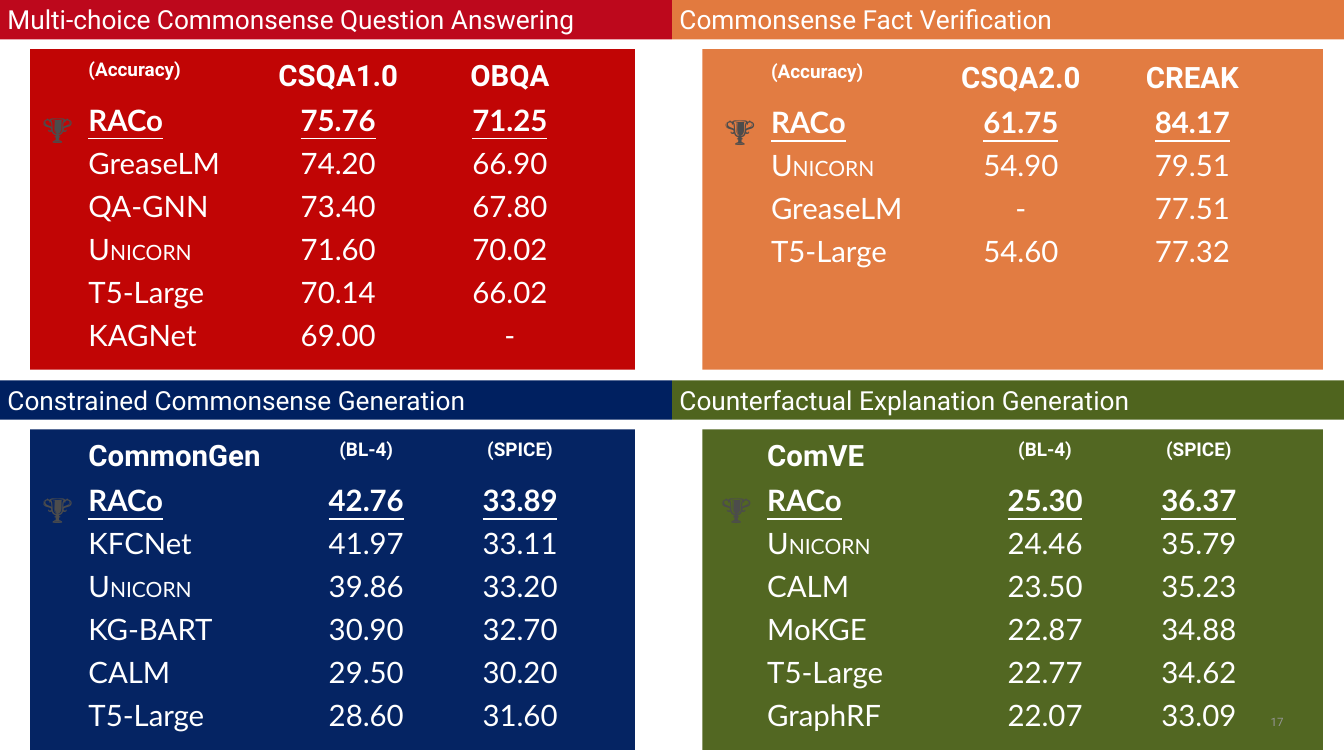
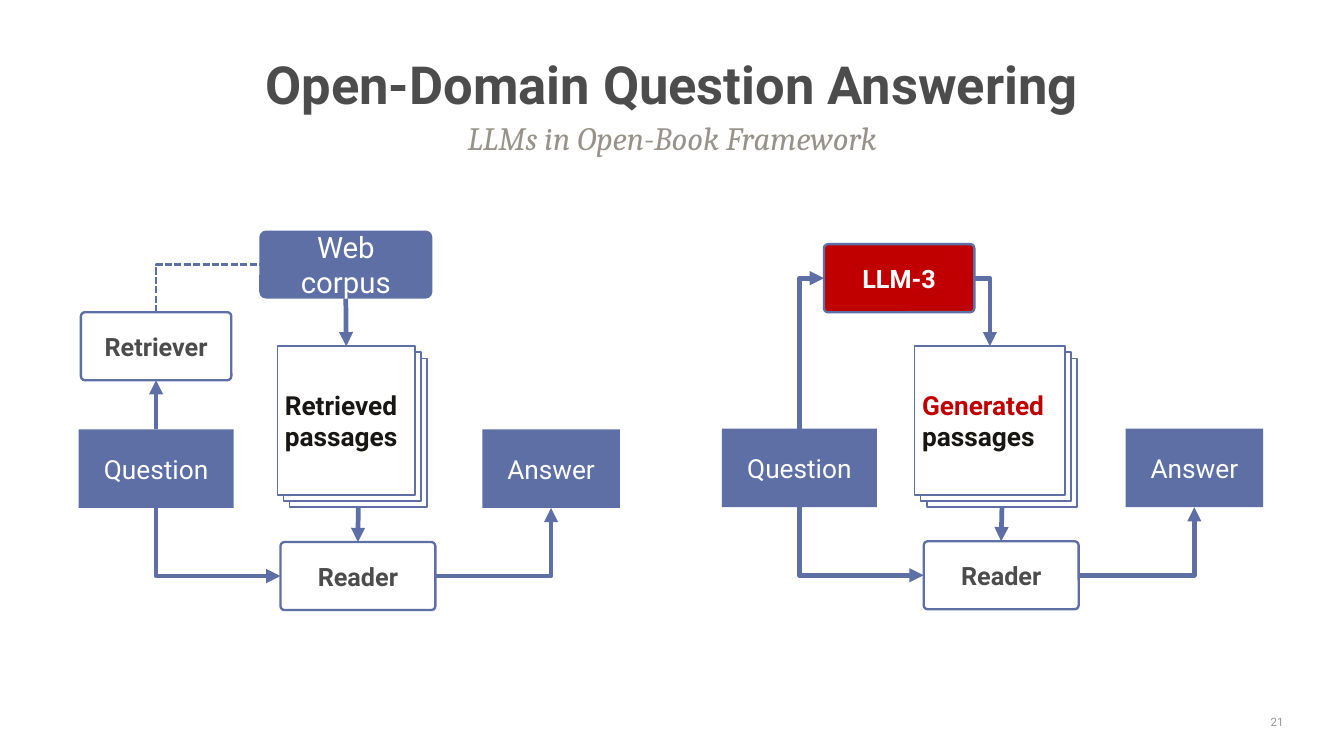
from dataclasses import dataclass, replace
from typing import Optional, Union

from lxml.etree import SubElement
from pptx import Presentation
from pptx.dml.color import RGBColor
from pptx.enum.dml import MSO_LINE
from pptx.enum.shapes import MSO_CONNECTOR as CONNECTOR, MSO_SHAPE as SHAPE
from pptx.enum.text import MSO_ANCHOR as ANCHOR, PP_ALIGN as ALIGN
from pptx.oxml.ns import qn
from pptx.util import Inches, Pt


@dataclass(frozen=True)
class Theme:
    white: str = "FFFFFF"
    ink: str = "171613"
    gray: str = "4C4C4C"
    taupe: str = "98938A"
    page_gray: str = "969696"
    blue: str = "5D6FA5"
    red: str = "C00000"
    crimson: str = "BD081C"
    orange: str = "E27A3F"
    navy: str = "002060"
    olive: str = "4F641E"
    sans: str = "Roboto"
    table_font: str = "Lato"
    serif: str = "Cambria"
    title: float = 50
    trophy: float = 32
    subtitle: float = 31
    table: float = 28
    box: float = 25
    label: float = 24
    small_caps: float = 20
    metric: float = 18
    page: float = 11


T = Theme()


@dataclass(frozen=True)
class Style:
    size: float
    color: str
    font: str = T.sans
    bold: bool = False
    italic: bool = False
    underline: bool = False


@dataclass(frozen=True)
class Run:
    text: str
    size: Optional[float] = None
    color: Optional[str] = None


Text = Union[str, tuple[Run, ...]]


@dataclass(frozen=True)
class Panel:
    title: str
    band: str
    fill: str
    left: float
    top: float
    panel_left: float
    panel_width: float
    table_left: float
    table_top: float
    columns: tuple[float, ...]
    rows: tuple[tuple[Text, ...], ...]


TITLE = Style(T.title, T.gray, bold=True)
SUBTITLE = Style(T.subtitle, T.taupe, T.serif, italic=True)
BOX = Style(T.box, T.white)
SOURCE = Style(T.table, T.white)
LABEL = Style(T.label, T.gray, bold=True)
PASSAGES = Style(T.box, T.ink, bold=True)
PAGE = Style(T.page, T.page_gray)
TROPHY = Style(T.trophy, T.gray, T.table_font, bold=True)
HEADER = Style(T.table, T.white, bold=True)
METRIC = replace(HEADER, size=T.metric)
ENTRY = Style(T.table, T.white, T.table_font)
WINNER = replace(ENTRY, bold=True, underline=True)

NO_GRID = "{2D5ABB26-0587-4C30-8999-92F81FD0307C}"
ROW_HEIGHT = 0.57
EVEN = (2.27, 2.27, 2.27)
WIDE_FIRST = (2.75, 2.05, 2.02)
UNICORN = (Run("U"), Run("NICORN", T.small_caps))
TOP, LEFT, BOTTOM, RIGHT = range(4)

PANELS = (
    Panel("Multi-choice Commonsense Question Answering", T.crimson, T.red,
          0, 0, 0.4, 8, 1.07, 0.73, EVEN, (
              ("(Accuracy)", "CSQA1.0", "OBQA"),
              ("RACo", "75.76", "71.25"),
              ("GreaseLM", "74.20", "66.90"),
              ("QA-GNN", "73.40", "67.80"),
              (UNICORN, "71.60", "70.02"),
              ("T5-Large", "70.14", "66.02"),
              ("KAGNet", "69.00", "-"))),
    Panel("Commonsense Fact Verification", T.orange, T.orange,
          8.89, 0, 9.29, 8.21, 10.1, 0.76, EVEN, (
              ("(Accuracy)", "CSQA2.0", "CREAK"),
              ("RACo", "61.75", "84.17"),
              (UNICORN, "54.90", "79.51"),
              ("GreaseLM", "-", "77.51"),
              ("T5-Large", "54.60", "77.32"))),
    Panel("Constrained Commonsense Generation", T.navy, T.navy,
          0, 5.03, 0.4, 8, 1.07, 5.76, WIDE_FIRST, (
              ("CommonGen", "(BL-4)", "(SPICE)"),
              ("RACo", "42.76", "33.89"),
              ("KFCNet", "41.97", "33.11"),
              (UNICORN, "39.86", "33.20"),
              ("KG-BART", "30.90", "32.70"),
              ("CALM", "29.50", "30.20"),
              ("T5-Large", "28.60", "31.60"))),
    Panel("Counterfactual Explanation Generation", T.olive, T.olive,
          8.89, 5.03, 9.29, 8.21, 10.05, 5.76, WIDE_FIRST, (
              ("ComVE", "(BL-4)", "(SPICE)"),
              ("RACo", "25.30", "36.37"),
              (UNICORN, "24.46", "35.79"),
              ("CALM", "23.50", "35.23"),
              ("MoKGE", "22.87", "34.88"),
              ("T5-Large", "22.77", "34.62"),
              ("GraphRF", "22.07", "33.09"))),
)


def rgb(color: str) -> RGBColor:
    return RGBColor.from_string(color)


def write(tf, text: Text, style: Style, align=ALIGN.LEFT, spacing: Optional[float] = None) -> None:
    p = tf.paragraphs[0]
    p.alignment = align
    if spacing:
        p.line_spacing = spacing
    f = p.font
    f.name, f.size = style.font, Pt(style.size)
    f.bold, f.italic, f.underline = style.bold, style.italic, style.underline
    f.color.rgb = rgb(style.color)
    for part in (Run(text),) if isinstance(text, str) else text:
        r = p.add_run()
        r.text = part.text
        if part.size:
            r.font.size = Pt(part.size)
        if part.color:
            r.font.color.rgb = rgb(part.color)


def add_box(slide, left: float, top: float, width: float, height: float,
            fill: Optional[str] = None, line: Optional[str] = None, weight: float = 2.25,
            corner: Optional[float] = None):
    kind = SHAPE.RECTANGLE if corner is None else SHAPE.ROUNDED_RECTANGLE
    sp = slide.shapes.add_shape(kind, Inches(left), Inches(top), Inches(width), Inches(height))
    sp.shadow.inherit = False
    if corner is not None:
        sp.adjustments[0] = corner
    if fill:
        sp.fill.solid()
        sp.fill.fore_color.rgb = rgb(fill)
    else:
        sp.fill.background()
    if line:
        sp.line.color.rgb = rgb(line)
        sp.line.width = Pt(weight)
    else:
        sp.line.fill.background()
    return sp


def add_text(slide, left: float, top: float, width: float, height: float, text: str,
             style: Style, align=ALIGN.CENTER, anchor=ANCHOR.TOP,
             inset: tuple[float, float] = (0.1, 0.05), spacing: Optional[float] = None) -> None:
    tf = slide.shapes.add_textbox(Inches(left), Inches(top), Inches(width), Inches(height)).text_frame
    tf.word_wrap = True
    tf.vertical_anchor = anchor
    tf.margin_left = tf.margin_right = Inches(inset[0])
    tf.margin_top = tf.margin_bottom = Inches(inset[1])
    write(tf, text, style, align, spacing)


def add_page_number(slide, number: int) -> None:
    add_text(slide, 16.53, 9.42, 0.61, 0.26, str(number), PAGE, ALIGN.RIGHT, ANCHOR.MIDDLE, (0.16, 0.08))


def add_scores(slide, panel: Panel) -> None:
    shape = slide.shapes.add_table(
        len(panel.rows), len(panel.columns), Inches(panel.table_left), Inches(panel.table_top),
        Inches(sum(panel.columns)), Inches(ROW_HEIGHT * len(panel.rows)))
    table = shape.table
    table.first_row = table.horz_banding = False
    table._tbl.tblPr.find(qn("a:tableStyleId")).text = NO_GRID
    for column, width in zip(table.columns, panel.columns):
        column.width = Inches(width)
    for i, row in enumerate(panel.rows):
        table.rows[i].height = Inches(ROW_HEIGHT)
        for j, text in enumerate(row):
            if i == 0:
                style = METRIC if text[0] == "(" else HEADER
            else:
                style = WINNER if i == 1 else ENTRY
            cell = table.cell(i, j)
            cell.fill.background()
            write(cell.text_frame, text, style, ALIGN.CENTER if j else ALIGN.LEFT)


def add_panel(slide, panel: Panel) -> None:
    body = add_box(slide, panel.panel_left, panel.top + 0.65, panel.panel_width, 4.24, panel.fill)
    color = body._element.spPr.find(qn("a:solidFill"))[0]
    SubElement(color, qn("a:alpha")).set("val", "98000")
    band = add_box(slide, panel.left, panel.top, 8.89, 0.52, panel.band)
    band.text_frame.vertical_anchor = ANCHOR.TOP
    write(band.text_frame, panel.title, BOX)
    add_text(slide, panel.table_left - 0.76, panel.table_top + 0.66, 0.9, 0.64, "🏆", TROPHY)
    add_scores(slide, panel)


def side_point(sp, side: int) -> tuple[int, int]:
    x, y = sp.left + sp.width // 2, sp.top + sp.height // 2
    return {TOP: (x, sp.top), LEFT: (sp.left, y),
            BOTTOM: (x, sp.top + sp.height), RIGHT: (sp.left + sp.width, y)}[side]


def connect(slide, start, start_side: int, end, end_side: int, dashed: bool = False) -> None:
    (x0, y0), (x1, y1) = side_point(start, start_side), side_point(end, end_side)
    straight = {start_side, end_side} == {TOP, BOTTOM}
    vertical_first = not straight and start_side in (TOP, BOTTOM)
    if vertical_first:
        cx, cy, dx, dy = (x0 + x1) // 2, (y0 + y1) // 2, x1 - x0, y1 - y0
        x0, x1 = cx - dy // 2, cx + dy // 2
        y0, y1 = cy + dx // 2, cy - dx // 2
    kind = CONNECTOR.STRAIGHT if straight else CONNECTOR.ELBOW
    c = slide.shapes.add_connector(kind, x0, y0, x1, y1)
    props = c._element.spPr
    if straight:
        c.begin_connect(start, start_side)
        c.end_connect(end, end_side)
    else:
        props.find(qn("a:prstGeom")).set("prst", "bentConnector2")
    if vertical_first:
        props.find(qn("a:xfrm")).set("rot", "5400000")
    c.line.color.rgb = rgb(T.blue)
    c.line.width = Pt(2.25 if dashed else 4.5)
    if dashed:
        c.line.dash_style = MSO_LINE.SQUARE_DOT
    else:
        SubElement(props.find(qn("a:ln")), qn("a:tailEnd")).set("type", "triangle")
    SubElement(props, qn("a:effectLst"))


def add_node(slide, left: float, top: float, width: float, height: float, text: str, style: Style,
             fill: Optional[str] = None, line: Optional[str] = None, corner: Optional[float] = None):
    sp = add_box(slide, left, top, width, height, fill, line, corner=corner)
    write(sp.text_frame, text, style, ALIGN.CENTER)
    return sp


def add_pipeline(slide, dx: float, dy: float, sheet_left: float, sheet_width: float, passages: Text):
    sheets = [add_box(slide, sheet_left + 0.08 * k, 4.58 + 0.08 * k, sheet_width, 1.97,
                      T.white, T.blue, 1.5) for k in (2, 1, 0)]
    back, front = sheets[0], sheets[-1]
    write(front.text_frame, passages, PASSAGES)
    question = add_node(slide, 1.04 + dx, 5.68 + dy, 2.05, 1.04, "Question", BOX, T.blue)
    answer = add_node(slide, 6.38 + dx, 5.68 + dy, 1.82, 1.04, "Answer", BOX, T.blue)
    reader = add_node(slide, 3.71 + dx, 7.17 + dy, 2.05, 0.9, "Reader", LABEL, line=T.blue, corner=0.06)
    connect(slide, back, BOTTOM, reader, TOP)
    connect(slide, question, BOTTOM, reader, LEFT)
    connect(slide, reader, RIGHT, answer, BOTTOM)
    return question, front


def build_results(slide) -> None:
    for panel in PANELS:
        add_panel(slide, panel)
    add_page_number(slide, 17)


def build_frameworks(slide) -> None:
    add_text(slide, 0.89, 1.54, 16, 0.56, "LLMs in Open-Book Framework", SUBTITLE,
             inset=(0.16, 0.08), spacing=0.9)
    add_text(slide, 0.89, 0.84, 16, 0.68, "Open-Domain Question Answering", TITLE,
             anchor=ANCHOR.MIDDLE, inset=(0.16, 0.08), spacing=0.8)

    question, retrieved = add_pipeline(slide, 0, 0, 3.67, 1.82, "Retrieved passages")
    corpus = add_node(slide, 3.43, 3.05, 2.29, 0.9, "Web corpus", SOURCE, T.blue, corner=0.1)
    retriever = add_node(slide, 1.07, 4.13, 1.99, 0.9, "Retriever", LABEL, line=T.blue, corner=0.06)
    connect(slide, question, TOP, retriever, BOTTOM)
    connect(slide, retriever, TOP, corpus, LEFT, dashed=True)
    connect(slide, corpus, BOTTOM, retrieved, TOP)

    question, generated = add_pipeline(slide, 8.51, -0.01, 12.1, 1.99,
                                       (Run("Generated ", color=T.red), Run("passages")))
    generator = add_node(slide, 10.9, 3.23, 1.99, 0.9, "LLM-3", replace(LABEL, color=T.white),
                         T.red, T.blue, 0.06)
    connect(slide, question, TOP, generator, LEFT)
    connect(slide, generator, RIGHT, generated, TOP)
    add_page_number(slide, 21)


def main() -> None:
    prs = Presentation()
    prs.slide_width, prs.slide_height = Inches(17.78), Inches(10)
    for build in (build_results, build_frameworks):
        build(prs.slides.add_slide(prs.slide_layouts[6]))
    prs.save("out.pptx")


if __name__ == "__main__":
    main()
